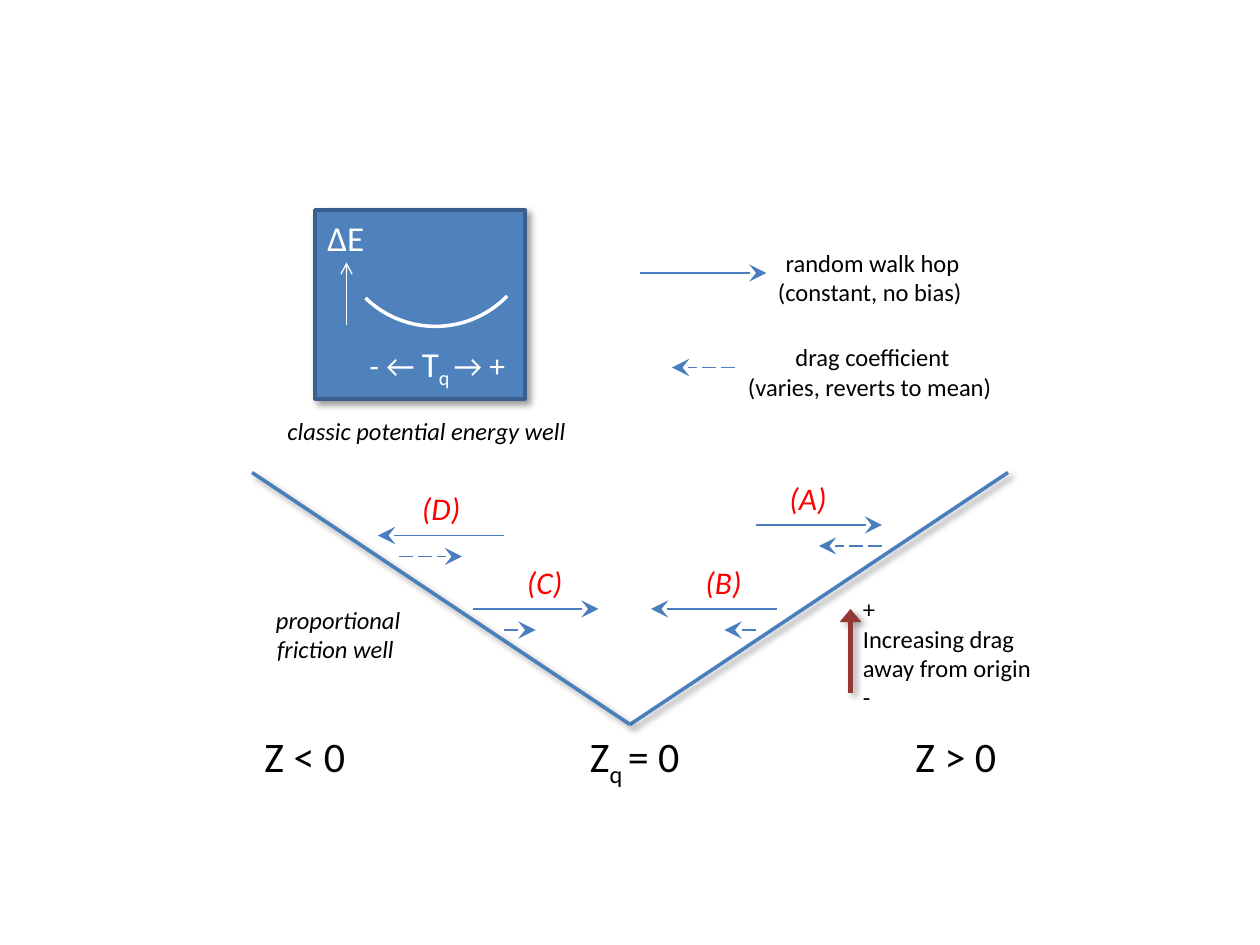
import pptx
import pptx.dml.color
import pptx.enum.dml
import pptx.enum.shapes
import pptx.enum.text
import pptx.oxml
import pptx.oxml.ns
import pptx.util

Pt = pptx.util.Pt
RGBColor = pptx.dml.color.RGBColor
SHAPE = pptx.enum.shapes.MSO_SHAPE
ALIGN = pptx.enum.text.PP_ALIGN
qn = pptx.oxml.ns.qn

WHITE = RGBColor(0xFF, 0xFF, 0xFF)
BLACK = RGBColor(0, 0, 0)
RED = RGBColor(0xFF, 0, 0)
BLUE = RGBColor(0x4F, 0x81, 0xBD)
BORDER = RGBColor(0x3A, 0x5F, 0x8C)
LINE = RGBColor(0x4B, 0x7E, 0xBC)
MAROON = RGBColor(0x95, 0x37, 0x35)

# Arrowhead type: width, length
TIPS = {"stealth": ("lg", "lg"), "triangle": ("lg", "med"), "arrow": ("med", "med")}

SHADOW = (
    '<a:outerShdw xmlns:a="http://schemas.openxmlformats.org/drawingml/2006/main" '
    'blurRad="50800" dist="38100" dir="2700000" algn="tl" rotWithShape="0">'
    '<a:srgbClr val="000000"><a:alpha val="40000"/></a:srgbClr></a:outerShdw>'
)


def set_effects(sp, shadow):
    """Replace the theme effects by a soft shadow or by none."""
    pr = sp._element.spPr
    for old in pr.findall(qn("a:effectLst")):
        pr.remove(old)
    effects = pptx.oxml.parse_xml(
        '<a:effectLst xmlns:a="http://schemas.openxmlformats.org/drawingml/2006/main"/>')
    if shadow:
        effects.append(pptx.oxml.parse_xml(SHADOW))
    pr.append(effects)


def add_line(s, x1, y1, x2, y2, color=LINE, width=1, tip=None, dashed=False, shadow=False):
    sp = s.shapes.add_connector(
        pptx.enum.shapes.MSO_CONNECTOR.STRAIGHT, Pt(x1), Pt(y1), Pt(x2), Pt(y2))
    sp.line.color.rgb = color
    sp.line.width = Pt(width)
    if dashed:
        sp.line.dash_style = pptx.enum.dml.MSO_LINE.LONG_DASH
    if tip:
        ln = sp.line._get_or_add_ln()
        tip_width, tip_length = TIPS[tip]
        ln.append(ln.makeelement(
            qn("a:tailEnd"), {"type": tip, "w": tip_width, "len": tip_length}))
    set_effects(sp, shadow)


def add_text(s, x, y, w, h, runs, size, color=BLACK, italic=False, align=ALIGN.LEFT):
    """Runs are (text, size, is_subscript); a plain string is one run."""
    tf = s.shapes.add_textbox(Pt(x), Pt(y), Pt(w), Pt(h)).text_frame
    tf.word_wrap = False
    tf.auto_size = pptx.enum.text.MSO_AUTO_SIZE.SHAPE_TO_FIT_TEXT
    p = tf.paragraphs[0]
    p.alignment = align
    if isinstance(runs, str):
        runs = [(runs, size, False)]
    for text, run_size, subscript in runs:
        for i, part in enumerate(text.split("\n")):
            if i:
                p.add_line_break()
            r = p.add_run()
            r.text = part
            r.font.name = "Calibri"
            r.font.size = Pt(run_size)
            r.font.italic = italic
            r.font.color.rgb = color
            if subscript:
                r.font._element.set("baseline", "-25000")


def energy_well(s, x, y, w, h):
    # Panel
    sp = s.shapes.add_shape(SHAPE.RECTANGLE, Pt(x), Pt(y), Pt(w), Pt(h))
    sp.fill.solid()
    sp.fill.fore_color.rgb = BLUE
    sp.line.color.rgb = BORDER
    sp.line.width = Pt(2)
    set_effects(sp, True)

    # Well curve
    d = 114.5
    sp = s.shapes.add_shape(SHAPE.ARC, Pt(x + 11.5), Pt(y - 48), Pt(d), Pt(d))
    sp.rotation = 134.2
    sp.fill.background()
    sp.line.color.rgb = WHITE
    sp.line.width = Pt(2)
    sp.shadow.inherit = False

    # Axes
    add_text(s, x, y, 36, 31.5, "ΔE", 20, WHITE)
    add_text(s, x + 24, y + 72, 93, 31.5,
             [("- ← ", 18, False), ("T", 20, False), ("q", 20, True),
              (" ", 18, True), ("→ +", 18, False)], 18, WHITE)
    add_line(s, x + 18, y + 66, x + 18, y + 30, WHITE, 0.75, "arrow")

    # Caption
    add_text(s, x - 24, y + h + 6, 175.5, 24.5, "classic potential energy well",
             14, italic=True, align=ALIGN.CENTER)


def legend(s, x, y, w, h):
    row = h - 41
    add_line(s, x, y + 18, x + 72, y + 18, tip="stealth")
    add_text(s, x + 70.5, y, 121, 41, " random walk hop\n(constant, no bias)",
             14, align=ALIGN.CENTER)
    add_line(s, x + 54, y + row + 18, x + 18, y + row + 18, tip="stealth", dashed=True)
    add_text(s, x + w - 155, y + row, 155, 41,
             " drag coefficient\n(varies, reverts to mean)", 14, align=ALIGN.CENTER)


def friction_well(s, x, y, w, h):
    # Walls
    for edge in (x + w, x):
        add_line(s, x + w / 2, y + h * 0.8, edge, y, width=2, shadow=True)

    # Hops: name, label x, hop y, hop from and to, drag from and to
    steps = [
        ("(A)", 300, 30, 288, 360, 360, 324),
        ("(B)", 252, 78, 300, 228, 288, 270),
        ("(C)", 150, 78, 126, 198, 144, 162),
        ("(D)", 90, 36, 144, 72, 84, 120),
    ]
    for name, label_x, hop_y, hop1, hop2, drag1, drag2 in steps:
        hop_y += y
        add_line(s, x + hop1, hop_y, x + hop2, hop_y, tip="stealth")
        add_line(s, x + drag1, hop_y + 12, x + drag2, hop_y + 12, tip="stealth", dashed=True)
        add_text(s, x + label_x, hop_y - 30, 38, 29, name, 18, RED, italic=True)

    # Caption
    add_text(s, x + 6, y + 72, 86.5, 41, "proportional\nfriction well ", 14,
             italic=True, align=ALIGN.CENTER)

    # Position labels
    labels = [("Z < 0", 62), ([("Z", 24, False), ("q ", 24, True), ("= 0", 24, False)], 68),
              ("Z > 0", 62)]
    for i, (label, width) in enumerate(labels):
        add_text(s, x + 186 * i, y + h - 36, width, 36, label, 24)


def drag_scale(s, x, y, w, h):
    add_line(s, x, y + 60, x, y + 12, MAROON, 2.5, "triangle", shadow=True)
    add_text(s, x, y, w, h, "+\nIncreasing drag\naway from origin\n-", 14)


def main():
    prs = pptx.Presentation()
    prs.slide_width = Pt(720)
    prs.slide_height = Pt(540)
    s = prs.slides.add_slide(prs.slide_layouts[6])
    energy_well(s, 180, 120, 120, 108)
    friction_well(s, 144, 270, 432, 180)
    drag_scale(s, 486, 336, 111.5, 75)
    legend(s, 366, 138, 208.5, 95)
    prs.save("out.pptx")


if __name__ == "__main__":
    main()
